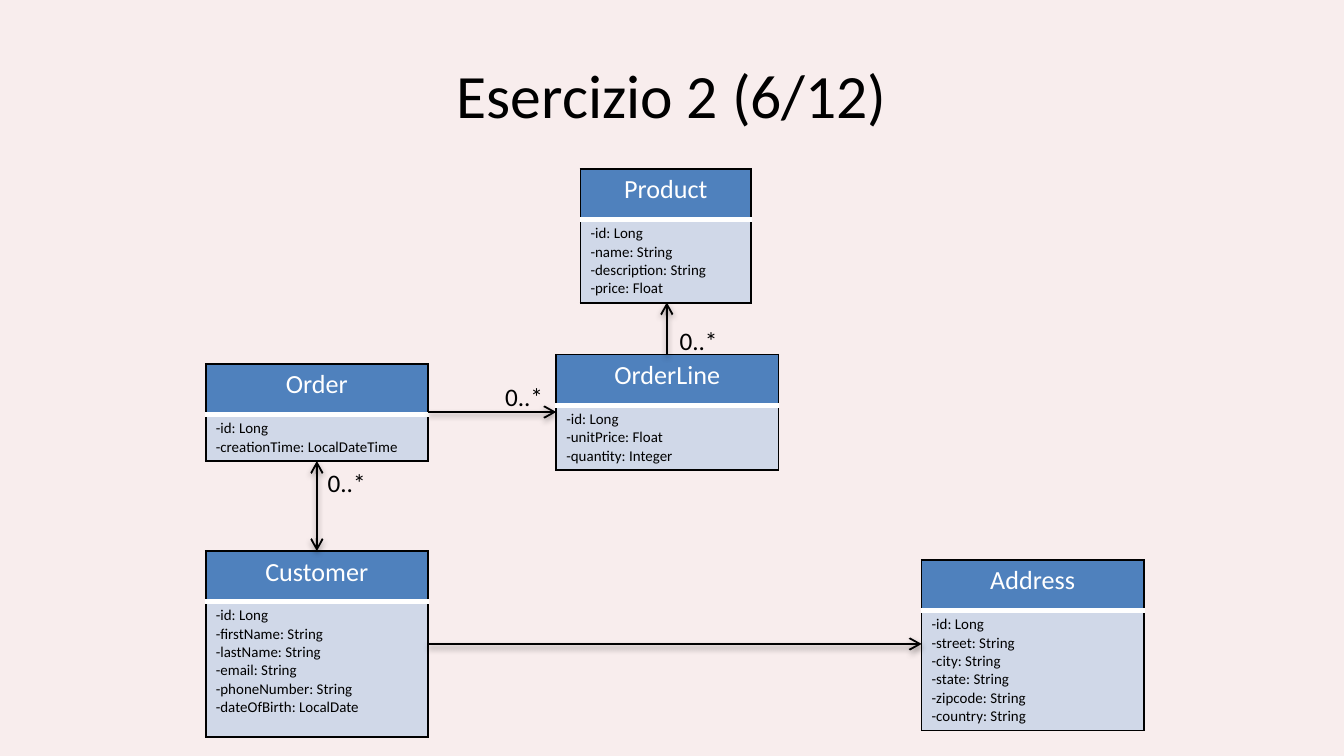
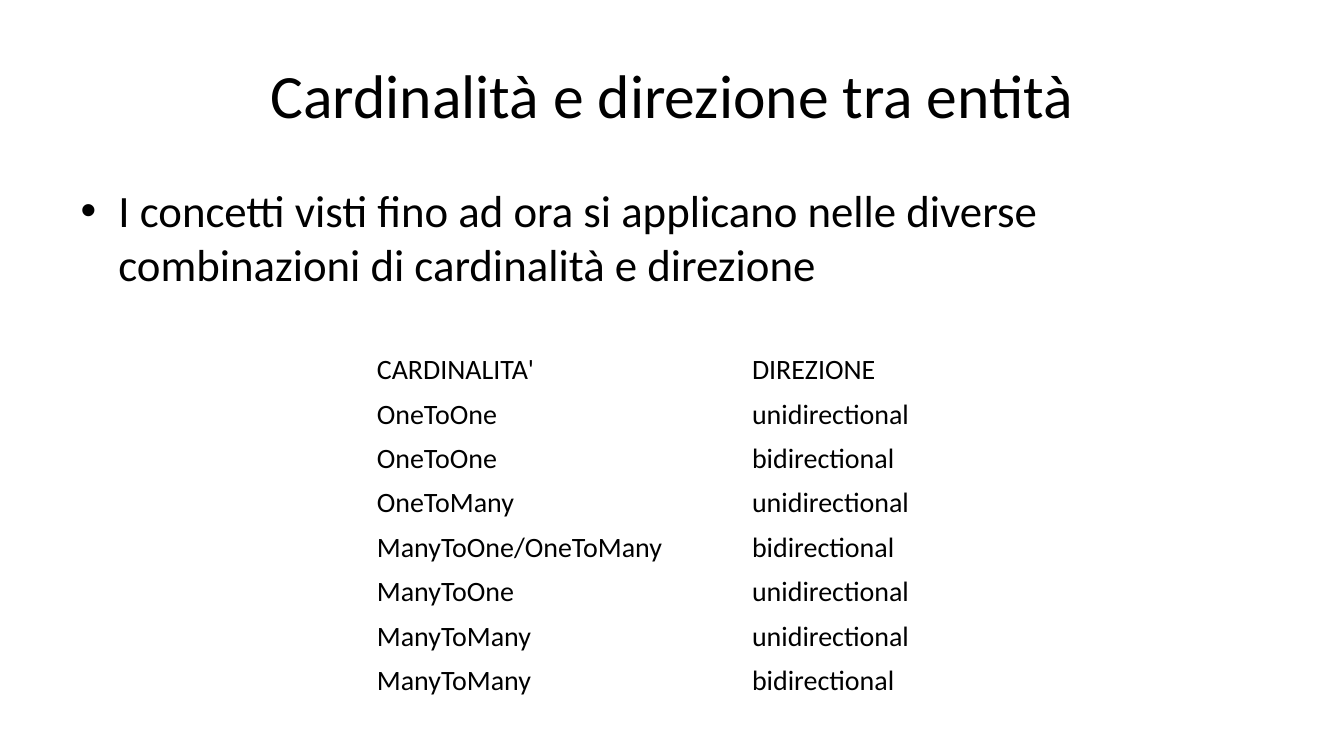
from lxml import etree
from pptx import Presentation
from pptx.dml.color import RGBColor
from pptx.enum import shapes, text
from pptx.oxml import ns
from pptx.util import Pt

FONT = "Calibri"
BLACK = RGBColor(0x00, 0x00, 0x00)
WHITE = RGBColor(0xFF, 0xFF, 0xFF)
PALE_PINK = RGBColor(0xF8, 0xED, 0xED)
HEADER_BLUE = RGBColor(0x4F, 0x81, 0xBD)
BODY_BLUE = RGBColor(0xD0, 0xD8, 0xE8)
NO_STYLE_NO_GRID = "{2D5ABB26-0587-4C30-8999-92F81FD0307C}"

presentation = Presentation()
presentation.slide_width, presentation.slide_height = Pt(720), Pt(405)


def add_slide(layout_index, title_text, background):
    slide = presentation.slides.add_slide(presentation.slide_layouts[layout_index])
    slide.background.fill.solid()
    slide.background.fill.fore_color.rgb = background
    title = slide.shapes.title
    title.left, title.top, title.width, title.height = Pt(36), Pt(16.5), Pt(648), Pt(67.5)
    title.text_frame.text = title_text
    title.text_frame.auto_size = text.MSO_AUTO_SIZE.NONE
    title.text_frame.vertical_anchor = text.MSO_ANCHOR.MIDDLE
    paragraph = title.text_frame.paragraphs[0]
    paragraph.alignment = text.PP_ALIGN.CENTER
    paragraph.font.name, paragraph.font.size = FONT, Pt(33)
    paragraph.font.color.rgb = BLACK
    return slide


def add_plain_table(slide, left, top, widths, heights, rows, size):
    """Add a table without style, fills or borders, with black text."""
    frame = slide.shapes.add_table(len(rows), len(widths), Pt(left), Pt(top),
                                   Pt(sum(widths)), Pt(sum(heights)))
    table = frame.table
    table.first_row = table.horz_banding = False
    table._tbl.tblPr[0].text = NO_STYLE_NO_GRID
    for column, width in zip(table.columns, widths):
        column.width = Pt(width)
    for row, height, values in zip(table.rows, heights, rows):
        row.height = Pt(height)
        for cell, value in zip(row.cells, values):
            cell.margin_left = cell.margin_right = Pt(5.4)
            cell.margin_top = cell.margin_bottom = Pt(2.7)
            cell.text = value
            for paragraph in cell.text_frame.paragraphs:
                paragraph.font.name, paragraph.font.size = FONT, Pt(size)
                paragraph.font.color.rgb = BLACK
    return table


# Slide 1: class diagram
diagram_slide = add_slide(5, "Esercizio 2 (6/12)", PALE_PINK)

HEADER_HEIGHT = 27
entities = [
    # name, left, top, width, body height, attributes
    ("Product", 311, 90.5, 91.5, 44.5,
     ["id: Long", "name: String", "description: String", "price: Float"]),
    ("Order", 110.25, 195, 119, 25, ["id: Long", "creationTime: LocalDateTime"]),
    ("OrderLine", 298, 190, 119, 34.5,
     ["id: Long", "unitPrice: Float", "quantity: Integer"]),
    ("Customer", 110.25, 295.25, 119, 72.5,
     ["id: Long", "firstName: String", "lastName: String", "email: String",
      "phoneNumber: String", "dateOfBirth: LocalDate"]),
    ("Address", 493.75, 300, 119, 63,
     ["id: Long", "street: String", "city: String", "state: String",
      "zipcode: String", "country: String"]),
]
header_borders = {"L": (BLACK, 1), "R": (BLACK, 1), "T": (BLACK, 1), "B": (WHITE, 3)}
body_borders = {"L": (BLACK, 1), "R": (BLACK, 1), "T": (WHITE, 3), "B": (BLACK, 1)}

for name, left, top, width, body_height, attributes in entities:
    body_text = "\n".join("-" + attribute for attribute in attributes)
    table = add_plain_table(diagram_slide, left, top, [width],
                            [HEADER_HEIGHT, body_height], [[name], [body_text]], 8)
    header, body = table.cell(0, 0), table.cell(1, 0)
    heading = header.text_frame.paragraphs[0]
    heading.alignment = text.PP_ALIGN.CENTER
    heading.font.size = Pt(14)
    heading.font.color.rgb = WHITE
    for cell, color, borders in ((header, HEADER_BLUE, header_borders),
                                 (body, BODY_BLUE, body_borders)):
        properties = cell._tc.get_or_add_tcPr()
        for side, (border_color, border_width) in borders.items():
            line = etree.SubElement(properties, ns.qn(f"a:ln{side}"), w=str(Pt(border_width)))
            fill = etree.SubElement(line, ns.qn("a:solidFill"))
            etree.SubElement(fill, ns.qn("a:srgbClr"), val=str(border_color))
        cell.fill.solid()
        cell.fill.fore_color.rgb = color

associations = [
    # start x, start y, end x, end y, ends with an arrowhead
    (229.25, 220.75, 298, 220.75, ["tailEnd"]),              # Order to OrderLine
    (357.25, 190, 357.25, 162, ["tailEnd"]),                 # OrderLine to Product
    (229.25, 345, 493.75, 345, ["tailEnd"]),                 # Customer to Address
    (169.75, 295.25, 169.75, 247, ["headEnd", "tailEnd"]),   # Customer and Order
]
for start_x, start_y, end_x, end_y, arrow_ends in associations:
    connector = diagram_slide.shapes.add_connector(
        shapes.MSO_CONNECTOR.STRAIGHT, Pt(start_x), Pt(start_y), Pt(end_x), Pt(end_y))
    connector.line.color.rgb = BLACK
    connector.line.width = Pt(1)
    for arrow_end in arrow_ends:
        etree.SubElement(connector.line._get_or_add_ln(), ns.qn(f"a:{arrow_end}"), type="arrow")
    effects = etree.SubElement(connector._element.spPr, ns.qn("a:effectLst"))
    shadow = etree.SubElement(effects, ns.qn("a:outerShdw"), blurRad=str(Pt(3.1)),
                              dist=str(Pt(1.6)), dir="5400000", rotWithShape="0")
    shadow_color = etree.SubElement(shadow, ns.qn("a:srgbClr"), val=str(BLACK))
    etree.SubElement(shadow_color, ns.qn("a:alpha"), val="38000")

for left, top in ((263.5, 201), (168.5, 247), (357, 170.5)):
    multiplicity = diagram_slide.shapes.add_textbox(Pt(left), Pt(top), Pt(35.5), Pt(23.75))
    multiplicity.text_frame.word_wrap = False
    multiplicity.text_frame.auto_size = text.MSO_AUTO_SIZE.SHAPE_TO_FIT_TEXT
    multiplicity.text_frame.text = "0..*"
    paragraph = multiplicity.text_frame.paragraphs[0]
    paragraph.font.name, paragraph.font.size = FONT, Pt(13.5)
    paragraph.font.color.rgb = BLACK

# Slide 2: combinations of cardinality and direction
summary_slide = add_slide(1, "Cardinalità e direzione tra entità", WHITE)

body = summary_slide.placeholders[1]
body.left, body.top, body.width, body.height = Pt(36), Pt(94.5), Pt(648), Pt(267)
body.text_frame.auto_size = text.MSO_AUTO_SIZE.NONE
body.text_frame.text = ("I concetti visti fino ad ora si applicano nelle diverse "
                        "combinazioni di cardinalità e direzione")
paragraph = body.text_frame.paragraphs[0]
paragraph.font.name, paragraph.font.size = FONT, Pt(24)
paragraph.font.color.rgb = BLACK
paragraph_properties = paragraph._p.get_or_add_pPr()
paragraph_properties.set("marL", str(Pt(20.25)))
paragraph_properties.set("indent", str(-Pt(20.25)))

combinations = [
    ("CARDINALITA'", "DIREZIONE"),
    ("OneToOne", "unidirectional"),
    ("OneToOne", "bidirectional"),
    ("OneToMany", "unidirectional"),
    ("ManyToOne/OneToMany", "bidirectional"),
    ("ManyToOne", "unidirectional"),
    ("ManyToMany", "unidirectional"),
    ("ManyToMany", "bidirectional"),
]
add_plain_table(summary_slide, 196.5, 186.5, [201, 144.75],
                [23.8] * len(combinations), combinations, 15)

presentation.save("out.pptx")
